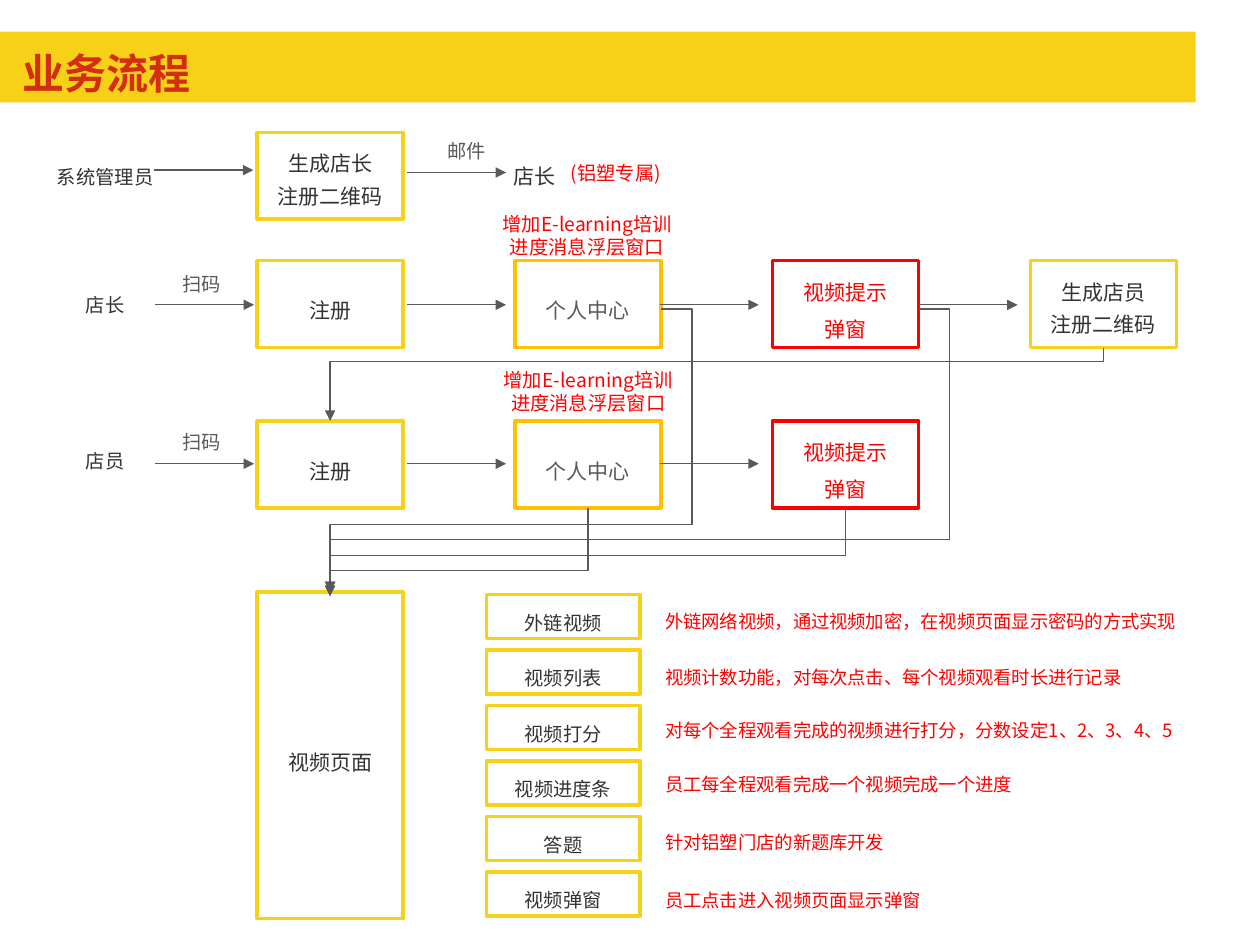
from lxml import etree
from pptx import Presentation
from pptx.dml.color import RGBColor
from pptx.enum.shapes import MSO_CONNECTOR, MSO_SHAPE
from pptx.enum.text import MSO_ANCHOR, PP_ALIGN
from pptx.oxml.ns import qn
from pptx.util import Pt

RECTANGLE = MSO_SHAPE.RECTANGLE
STRAIGHT, ELBOW = MSO_CONNECTOR.STRAIGHT, MSO_CONNECTOR.ELBOW
MIDDLE = MSO_ANCHOR.MIDDLE
LEFT, CENTER = PP_ALIGN.LEFT, PP_ALIGN.CENTER

FONT = "Noto Sans CJK SC"
YELLOW, AMBER, RED, DARK, GRAY, WHITE = (
    "F7D117", "FFC000", "FF0000", "333333", "595959", "FFFFFF")

COLUMNS = [146.9 + 147.3 * index for index in range(4)]
STEP_WIDTH, STEP_HEIGHT = 83.5, 49.7
ADMIN_ROW, MANAGER_ROW, CLERK_ROW = 75.6, 149, 240.5
PAGE_TOP = 338.4
MANAGER_LINE, CLERK_LINE = 174.2, 265

NOTICE = "增加E-learning培训进度消息浮层窗口"
FEATURES = [
    ("外链视频", 343.4, "外链网络视频，通过视频加密，在视频页面显示密码的方式实现"),
    ("视频列表", 375.8, "视频计数功能，对每次点击、每个视频观看时长进行记录"),
    ("视频打分", 406.1, "对每个全程观看完成的视频进行打分，分数设定1、2、3、4、5"),
    ("视频进度条", 437, "员工每全程观看完成一个视频完成一个进度"),
    ("答题", 470.2, "针对铝塑门店的新题库开发"),
    ("视频弹窗", 503.3, "员工点击进入视频页面显示弹窗"),
]


def color(hex_text):
    return RGBColor.from_string(hex_text)


def write(frame, text, ink, size, font=FONT, bold=False, **paragraph_format):
    frame.word_wrap = True
    for index, words in enumerate(text.split("\n")):
        para = frame.add_paragraph() if index else frame.paragraphs[0]
        for name, value in paragraph_format.items():
            setattr(para, name, value)
        span = para.add_run()
        span.text = words
        for name, value in {"name": font, "size": Pt(size), "bold": bold}.items():
            setattr(span.font, name, value)
        span.font.color.rgb = color(ink)
        east_asian = etree.SubElement(span.font._element, qn("a:ea"))
        east_asian.set("typeface", font)


def add_box(page, left, top, width, height, fill=WHITE, border=None):
    box = page.shapes.add_shape(RECTANGLE, Pt(left), Pt(top), Pt(width), Pt(height))
    box.shadow.inherit = False
    box.fill.solid()
    box.fill.fore_color.rgb = color(fill)
    if border:
        box.line.color.rgb = color(border)
        box.line.width = Pt(2)
    else:
        box.line.fill.background()
    return box


def add_labelled_box(page, text, area, border=None, ink=DARK, size=12, spacing=1.5):
    frame = add_box(page, *area, border=border).text_frame
    frame.vertical_anchor = MIDDLE
    write(frame, text, ink, size, alignment=CENTER, line_spacing=spacing)


def add_step(page, text, column, top, border=YELLOW, ink=DARK, spacing=1.5):
    area = (COLUMNS[column], top, STEP_WIDTH, STEP_HEIGHT)
    add_labelled_box(page, text, area, border, ink, spacing=spacing)


def add_caption(page, text, area, ink, size, **text_format):
    frame = page.shapes.add_textbox(*map(Pt, area)).text_frame
    for side in ("left", "top", "right", "bottom"):
        setattr(frame, f"margin_{side}", 0)
    write(frame, text, ink, size, **text_format)


def add_arrow(page, start, end, kind=STRAIGHT):
    arrow = page.shapes.add_connector(kind, *map(Pt, start + end))
    arrow.line.color.rgb = color(GRAY)
    arrow.line.width = Pt(0.75)
    tail = etree.SubElement(arrow.line._get_or_add_ln(), qn("a:tailEnd"))
    tail.set("type", "triangle")
    etree.SubElement(arrow._element.spPr, qn("a:effectLst"))
    return arrow


def set_bends(arrow, preset, *shares):
    """Set the elbow preset and where it bends, as shares of its extent."""
    geometry = arrow._element.spPr.find(qn("a:prstGeom"))
    geometry.set("prst", preset)
    guides = geometry.find(qn("a:avLst"))
    for number, share in enumerate(shares, 1):
        guide = etree.SubElement(guides, qn("a:gd"))
        guide.set("name", f"adj{number}")
        guide.set("fmla", f"val {round(share * 100000)}")


def add_drop_arrow(page, start, end, bend_y):
    """Go down, left along bend_y, then down: an elbow turned by 90 degrees."""
    (x1, y1), (x2, y2) = start, end
    across, down = x1 - x2, y2 - y1
    left, top = (x1 + x2 - down) / 2, (y1 + y2 - across) / 2
    arrow = add_arrow(page, (left, top), (left + down, top + across), ELBOW)
    arrow._element.spPr.find(qn("a:xfrm")).set("rot", str(90 * 60000))
    set_bends(arrow, "bentConnector3", (bend_y - y1) / down)


def add_side_arrow(page, start, end, bend_x, bend_y):
    """Go right to bend_x, down to bend_y, left, then down."""
    (x1, y1), (x2, y2) = start, end
    arrow = add_arrow(page, start, end, ELBOW)
    set_bends(arrow, "bentConnector4",
              (x1 - bend_x) / (x1 - x2), (bend_y - y1) / (y2 - y1))


def add_title(page):
    add_box(page, 0, 18, 683.3, 40.5, fill=YELLOW)
    add_caption(page, "业务流程", (13, 27.4, 606, 33), "D42E12", 24,
                font="Quicksand", bold=True)


def add_roles(page):
    for text, area, size in [
        ("系统管理员", (20.2, 83.5, 79.9, 28), 11),
        ("店长", (270.7, 85.7, 69.8, 23), 12),
        ("店长", (25.2, 155.5, 69.8, 30.2), 11),
        ("店员", (25.2, 243.4, 69.8, 33.8), 11),
    ]:
        add_labelled_box(page, text, area, size=size)


def add_steps(page):
    add_step(page, "生成店长\n注册二维码", 0, ADMIN_ROW, spacing=1.3)
    for top in (MANAGER_ROW, CLERK_ROW):
        add_step(page, "注册", 0, top)
        add_step(page, "个人中心", 1, top, AMBER, GRAY)
        add_step(page, "视频提示\n弹窗", 2, top, RED, RED)
    add_step(page, "生成店员\n注册二维码", 3, MANAGER_ROW, spacing=1.3)
    add_labelled_box(page, "视频页面", (COLUMNS[0], PAGE_TOP, STEP_WIDTH, 186.5), YELLOW)


def add_captions(page):
    for text, left, top in [("邮件", 255.6, 77.8), ("扫码", 104.4, 154.1),
                            ("扫码", 104.4, 244.1)]:
        add_caption(page, text, (left, top, 32.4, 18.7), GRAY, 11,
                    line_spacing=1.13, space_after=Pt(0.6))
    for text, area in [("(铝塑专属)", (310.3, 92.2, 83.5, 21.6)),
                       (NOTICE, (283, 121, 105.1, 30.2)),
                       (NOTICE, (283.7, 210.2, 105.1, 30.2))]:
        add_caption(page, text, area, RED, 11, alignment=CENTER, space_after=Pt(0.6))


def add_features(page):
    for index, (name, note_top, note) in enumerate(FEATURES):
        area = (277.9, 339.8 + 31.7 * index, 87.8, 25.2)
        add_labelled_box(page, name, area, YELLOW, size=11)
        add_caption(page, note, (380.2, note_top, 314.6, 20), RED, 10.5,
                    alignment=LEFT, line_spacing=1.4, space_after=Pt(0.6))


def add_flow(page):
    for left, y in [(88.2, 97.2), (232.6, 98.6)] + [
            (left, y) for y in (MANAGER_LINE, CLERK_LINE)
            for left in (88.6, 232.6, 377)] + [(524.9, MANAGER_LINE)]:
        add_arrow(page, (left, y), (left + 56.6, y))

    centers = [left + STEP_WIDTH / 2 for left in COLUMNS]
    page_entry = (centers[0], PAGE_TOP)
    add_drop_arrow(page, (centers[3], MANAGER_ROW + STEP_HEIGHT),
                   (centers[0], CLERK_ROW), 206.6)
    for column, bend_y in [(2, 317.4), (1, 326.2)]:
        start = (centers[column], CLERK_ROW + STEP_HEIGHT)
        add_drop_arrow(page, start, page_entry, bend_y)
    for column, bend_y in [(2, 308.4), (1, 299.8)]:
        right = COLUMNS[column] + STEP_WIDTH
        add_side_arrow(page, (right, 176.5), (centers[0], PAGE_TOP + 2.2),
                       right + 17.8, bend_y)


def main():
    deck = Presentation()
    deck.slide_width, deck.slide_height = Pt(720), Pt(540)
    page = deck.slides.add_slide(deck.slide_layouts[6])
    for add_part in (add_title, add_roles, add_steps, add_captions,
                     add_features, add_flow):
        add_part(page)
    deck.save("out.pptx")


if __name__ == "__main__":
    main()
